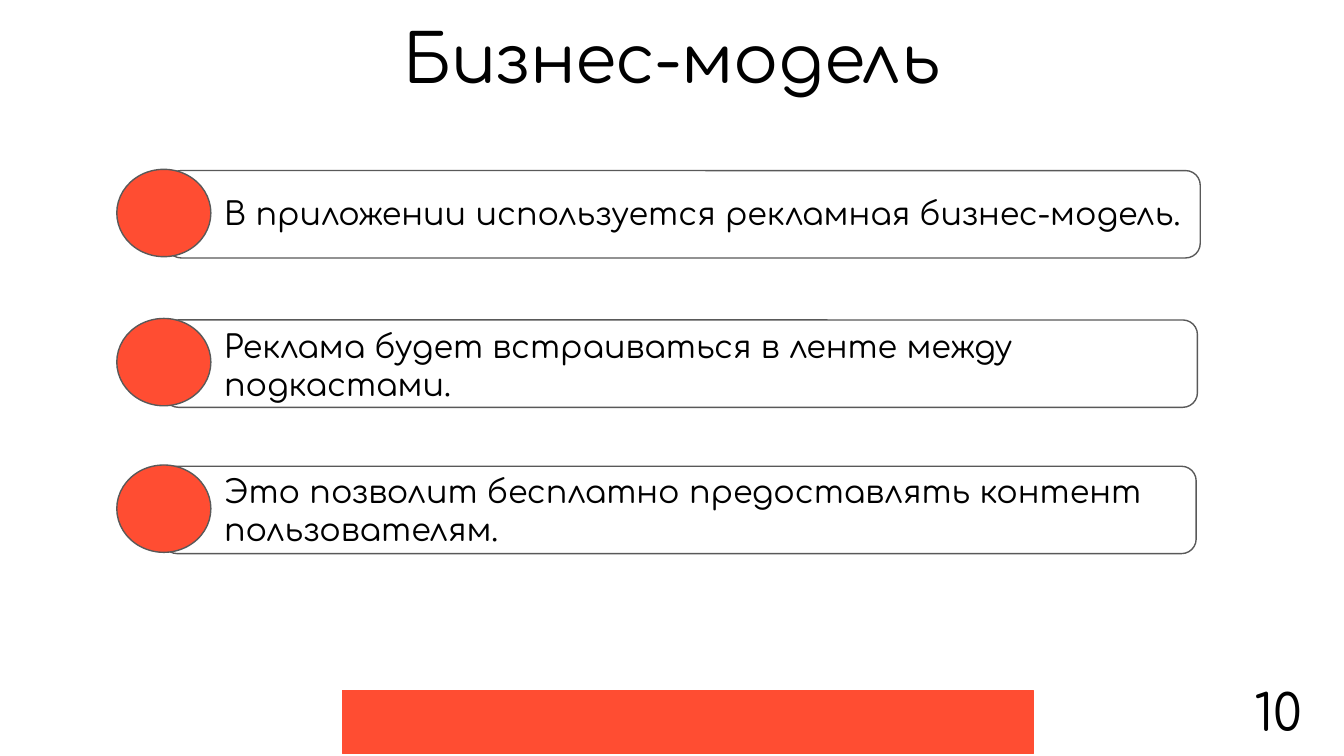
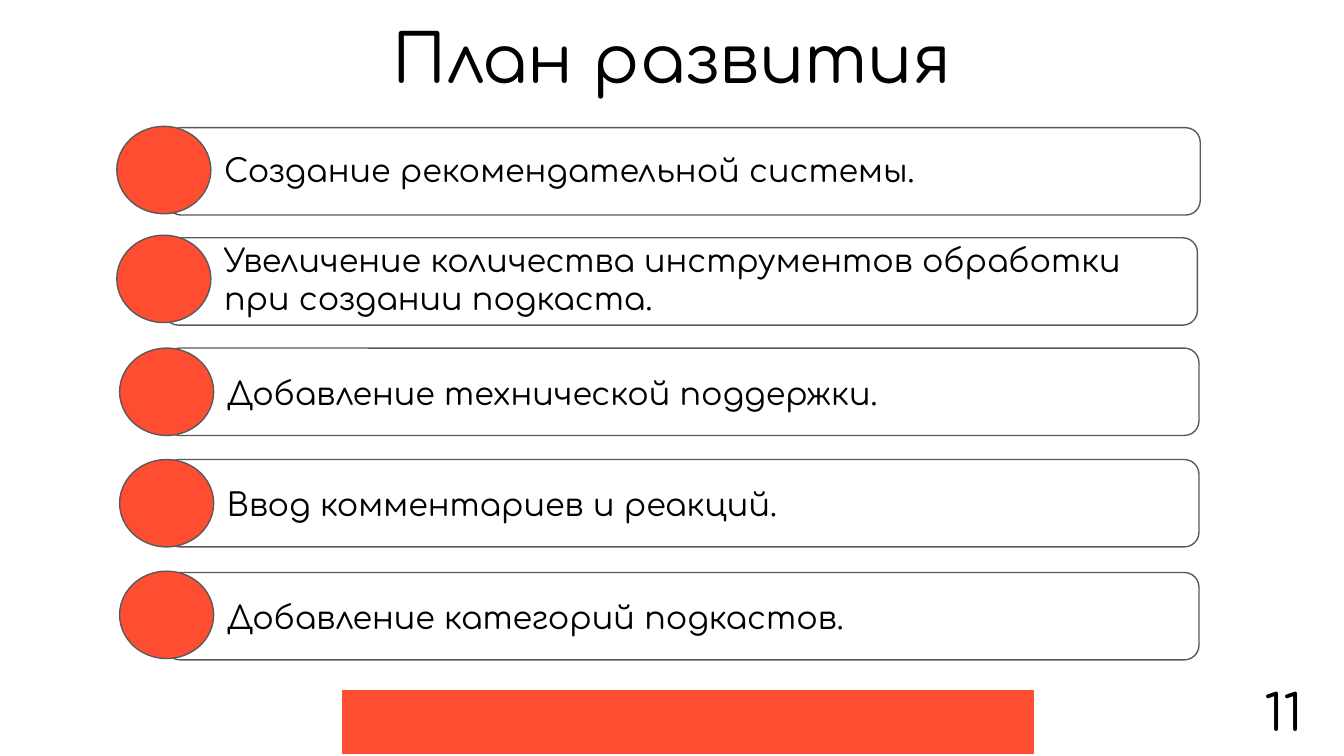
"""Builds the business model and development plan slides."""
import pptx
import pptx.util
import pptx.dml.color
import pptx.enum.shapes
import pptx.enum.text

Pt = pptx.util.Pt
MSO = pptx.enum.shapes.MSO_SHAPE
ALIGN = pptx.enum.text.PP_ALIGN
ANCHOR = pptx.enum.text.MSO_ANCHOR
AUTO = pptx.enum.text.MSO_AUTO_SIZE

COLORS = {"accent": "FF4D32", "outline": "595959", "card": "FFFFFF", "text": "000000"}
FONT = "Comfortaa"
INSET = 7.2
CARD_W, CARD_H, DOT_W = 553.7, 46.8, 50.4
LINE_H = 20.2

TITLE_BOX = (97.2, -4.3, 525.6, 63.4)
BAND_BOX = (183.6, 370.1, 370.1, 33.8)
NUMBER_BOX = (657.4, 357.8, 47.5, 47.5)

# Each row: text, lines, card (left, top), dot (left, top), text (top, width).
SLIDES = [
    ("Бизнес-модель", "10", [
        ("В приложении используется рекламная бизнес-модель.",
         1, (89.3, 91.4), (62.6, 90.7), (96.5, 562.3)),
        ("Реклама будет встраиваться в ленте между подкастами.",
         2, (87.8, 171.4), (62.6, 170.6), (167.8, 562.3)),
        ("Это позволит бесплатно предоставлять контент пользователям.",
         2, (87.1, 249.8), (62.6, 249.1), (245.5, 551.5)),
    ]),
    ("План развития", "11", [
        ("Создание рекомендательной системы.",
         1, (89.3, 68.4), (62.6, 67.7), (73.4, 562.3)),
        ("Увеличение количества инструментов обработки при создании подкаста.",
         2, (87.8, 127.4), (62.6, 126), (121.7, 525.6)),
        ("Добавление технической поддержки.",
         1, (88.6, 186.5), (64.1, 186.5), (193, 551.5)),
        ("Ввод комментариев и реакций.",
         1, (88.6, 246.2), (64.1, 246.2), (252.7, 519.1)),
        ("Добавление категорий подкастов.",
         1, (88.6, 306.7), (64.1, 306), (313.2, 519.1)),
    ]),
]


def rgb(name):
    """Return the named palette colour."""
    return pptx.dml.color.RGBColor.from_string(COLORS[name])


def add_block(s, kind, box, fill, line):
    """Add a filled, outlined preset shape."""
    sp = s.shapes.add_shape(kind, *map(Pt, box))
    sp.shadow.inherit = False
    sp.fill.solid()
    sp.fill.fore_color.rgb = rgb(fill)
    sp.line.color.rgb = rgb(line)
    sp.line.width = Pt(0.75)
    return sp


def add_text(s, box, text, size, align=ALIGN.LEFT, anchor=ANCHOR.TOP,
             auto=AUTO.SHAPE_TO_FIT_TEXT):
    """Add a wrapped text box holding one run."""
    tf = s.shapes.add_textbox(*map(Pt, box)).text_frame
    tf.word_wrap = True
    tf.auto_size = auto
    tf.vertical_anchor = anchor
    tf.margin_left = tf.margin_top = tf.margin_right = tf.margin_bottom = Pt(INSET)
    p = tf.paragraphs[0]
    p.alignment = align
    r = p.add_run()
    r.text = text
    r.font.name = FONT
    r.font.size = Pt(size)
    r.font.color.rgb = rgb("text")


def add_row(s, text, lines, card, dot, label):
    """Add a rounded card with its dot and label."""
    sp = add_block(s, MSO.ROUNDED_RECTANGLE, (*card, CARD_W, CARD_H), "card", "outline")
    sp.adjustments[0] = 0.167
    top, width = label
    add_text(s, (dot[0] + DOT_W, top, width, 2 * INSET + lines * LINE_H), text, 17)
    add_block(s, MSO.OVAL, (*dot, DOT_W, CARD_H), "accent", "outline")


def add_frame(s, title, number):
    """Add the title, bottom band and page number."""
    add_text(s, TITLE_BOX, title, 35.8, ALIGN.CENTER, ANCHOR.BOTTOM, AUTO.NONE)
    add_block(s, MSO.RECTANGLE, BAND_BOX, "accent", "accent")
    add_text(s, NUMBER_BOX, number, 27, ALIGN.RIGHT)


def main():
    """Build both slides and save the deck."""
    prs = pptx.Presentation()
    prs.slide_width, prs.slide_height = Pt(720), Pt(405)
    for title, number, rows in SLIDES:
        s = prs.slides.add_slide(prs.slide_layouts[6])
        add_frame(s, title, number)
        for row in rows:
            add_row(s, *row)
    prs.save("out.pptx")


if __name__ == "__main__":
    main()
